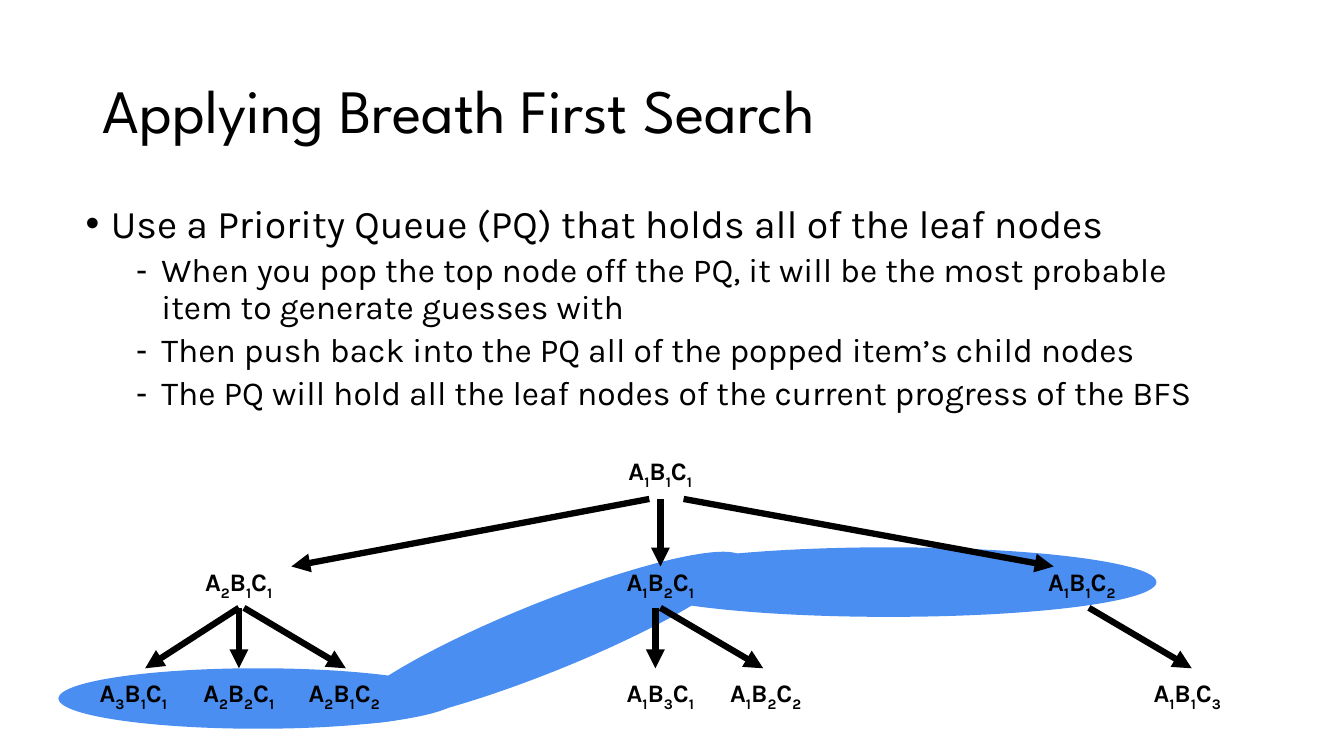
import pptx
import pptx.util
import pptx.dml.color
import pptx.enum.shapes
import pptx.enum.text
import pptx.oxml
from lxml import etree
from pptx.oxml.ns import qn
from pptx.util import Inches, Pt

BLACK = pptx.dml.color.RGBColor(0x00, 0x00, 0x00)
BLUE = pptx.dml.color.RGBColor(0x4A, 0x8E, 0xF2)
NO_STYLE_NO_GRID = "{2D5ABB26-0587-4C30-8999-92F81FD0307C}"


class SlideBuilder:
    heading_font = "League Spartan"
    text_font = "Karla"

    def __init__(self, slide):
        self.slide = slide

    def style(self, paragraph, font_name, size, bold=False):
        paragraph.font.name = font_name
        paragraph.font.size = Pt(size)
        paragraph.font.bold = bold
        paragraph.font.color.rgb = BLACK

    def place(self, placeholder, left, top, width, height):
        placeholder.left, placeholder.top = Inches(left), Inches(top)
        placeholder.width, placeholder.height = Inches(width), Inches(height)
        frame = placeholder.text_frame
        frame.word_wrap = True
        frame.auto_size = pptx.enum.text.MSO_AUTO_SIZE.NONE
        return frame

    def title(self, text, *box):
        frame = self.place(self.slide.shapes.title, *box)
        frame.vertical_anchor = pptx.enum.text.MSO_ANCHOR.MIDDLE
        frame.text = text
        heading = frame.paragraphs[0]
        heading.alignment = pptx.enum.text.PP_ALIGN.LEFT
        heading.line_spacing = 0.9
        self.style(heading, self.heading_font, 44)

    def bullets(self, items, *box):
        frame = self.place(self.slide.placeholders[1], *box)
        frame.vertical_anchor = pptx.enum.text.MSO_ANCHOR.TOP
        frame.text = "\n".join(text for level, text in items)
        for point, (level, text) in zip(frame.paragraphs, items):
            point.level = level
            point.line_spacing = 0.9
            point.space_before = Pt((10, 5)[level])
            self.style(point, self.text_font, (28, 24)[level])
            # Hanging indent and bullet character
            properties = point._p.get_or_add_pPr()
            properties.set("marL", str(Inches(0.25 + 0.5 * level)))
            properties.set("indent", str(Inches(-0.25)))
            bullet = etree.Element(qn("a:buChar"), char="•-"[level])
            properties.find(qn("a:defRPr")).addprevious(bullet)

    def ellipse(self, left, top, width, height, rotation=0):
        oval = self.slide.shapes.add_shape(
            pptx.enum.shapes.MSO_SHAPE.OVAL,
            Inches(left), Inches(top), Inches(width), Inches(height))
        oval.rotation = rotation
        oval.shadow.inherit = False
        oval.fill.solid()
        oval.fill.fore_color.rgb = BLUE
        oval.line.fill.background()

    def tree_table(self, levels, left, top, width, height, columns):
        table = self.slide.shapes.add_table(
            len(levels), columns,
            Inches(left), Inches(top), Inches(width), Inches(height)).table
        table.first_row = table.horz_banding = False
        table._tbl.tblPr.find(qn("a:tableStyleId")).text = NO_STYLE_NO_GRID
        for cell in table.iter_cells():
            cell.fill.background()
            cell.vertical_anchor = pptx.enum.text.MSO_ANCHOR.BOTTOM
        for row, nodes in enumerate(levels):
            for column, indices in nodes.items():
                self.node(table.cell(row, column), indices)

    def node(self, cell, indices):
        label = cell.text_frame.paragraphs[0]
        label.alignment = pptx.enum.text.PP_ALIGN.CENTER
        self.style(label, self.text_font, 18, bold=True)
        for letter, index in zip("ABC", indices):
            label.add_run().text = letter
            subscript = label.add_run()
            subscript.text = index
            subscript._r.get_or_add_rPr().set("baseline", "-25000")

    def arrow(self, x1, y1, x2, y2):
        connector = self.slide.shapes.add_connector(
            pptx.enum.shapes.MSO_CONNECTOR.STRAIGHT,
            Inches(x1), Inches(y1), Inches(x2), Inches(y2))
        connector.line.width = Pt(4.5)
        connector.line.color.rgb = BLACK
        properties = connector._element.spPr
        etree.SubElement(properties.find(qn("a:ln")), qn("a:tailEnd"), type="triangle")
        etree.SubElement(properties, qn("a:effectLst"))


def main():
    presentation = pptx.Presentation()
    presentation.slide_width = Inches(13.33)
    presentation.slide_height = Inches(7.5)
    builder = SlideBuilder(
        presentation.slides.add_slide(presentation.slide_layouts[1]))

    # Heading and explanation
    builder.title("Applying Breath First Search", 0.92, 0.4, 11.5, 1.45)
    builder.bullets([
        (0, "Use a Priority Queue (PQ) that holds all of the leaf nodes"),
        (1, "When you pop the top node off the PQ, it will be the most "
            "probable item to generate guesses with"),
        (1, "Then push back into the PQ all of the popped item’s child nodes"),
        (1, "The PQ will hold all the leaf nodes of the current progress of the BFS"),
    ], 0.75, 1.98, 11.5, 2.31)

    # Highlighted queue contents
    builder.ellipse(3.29, 5.98, 4.23, 0.69, rotation=338.1)
    builder.ellipse(6.16, 5.43, 5.31, 0.69)
    builder.ellipse(0.58, 6.63, 3.96, 0.6)

    # Tree nodes: column -> indices of A, B and C
    tree_levels = [
        {5: "111"},
        {1: "211", 5: "121", 9: "112"},
        {0: "311", 1: "221", 2: "212", 5: "131", 6: "122", 10: "113"},
    ]
    builder.tree_table(tree_levels, 0.8, 3.82, 11.5, 3.3, columns=11)

    # Arrows from the root to its children
    for start, end in [(6.44, 2.89), (6.55, 6.55), (6.78, 10.45)]:
        builder.arrow(start, 4.95, end, 5.62)

    # Arrows from the children to the leaves
    for start, end in [(2.37, 1.44), (2.37, 2.37), (2.42, 3.43),
                       (6.5, 6.5), (6.55, 7.57), (10.8, 11.82)]:
        builder.arrow(start, 6.03, end, 6.63)

    presentation.save("out.pptx")


if __name__ == "__main__":
    main()
